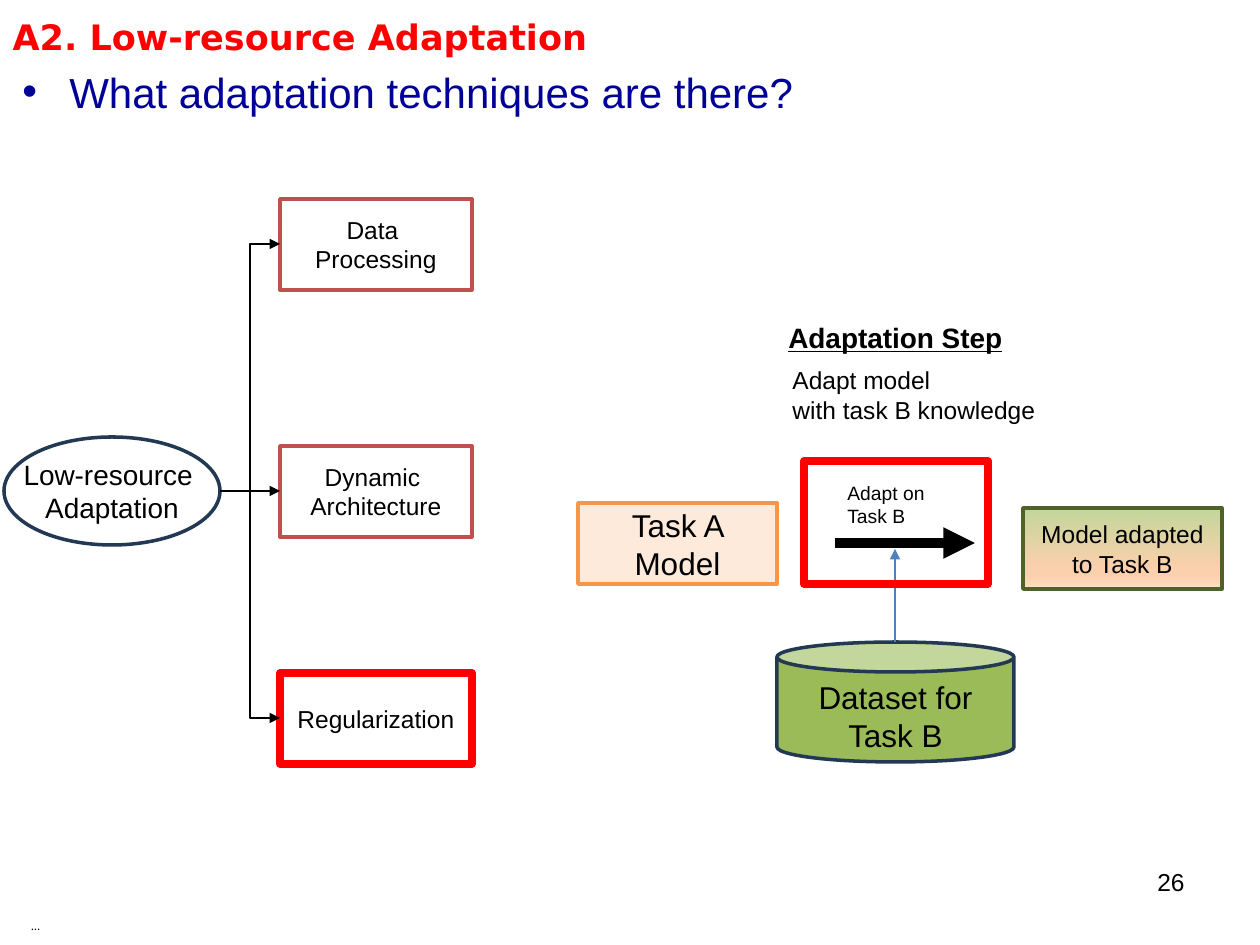
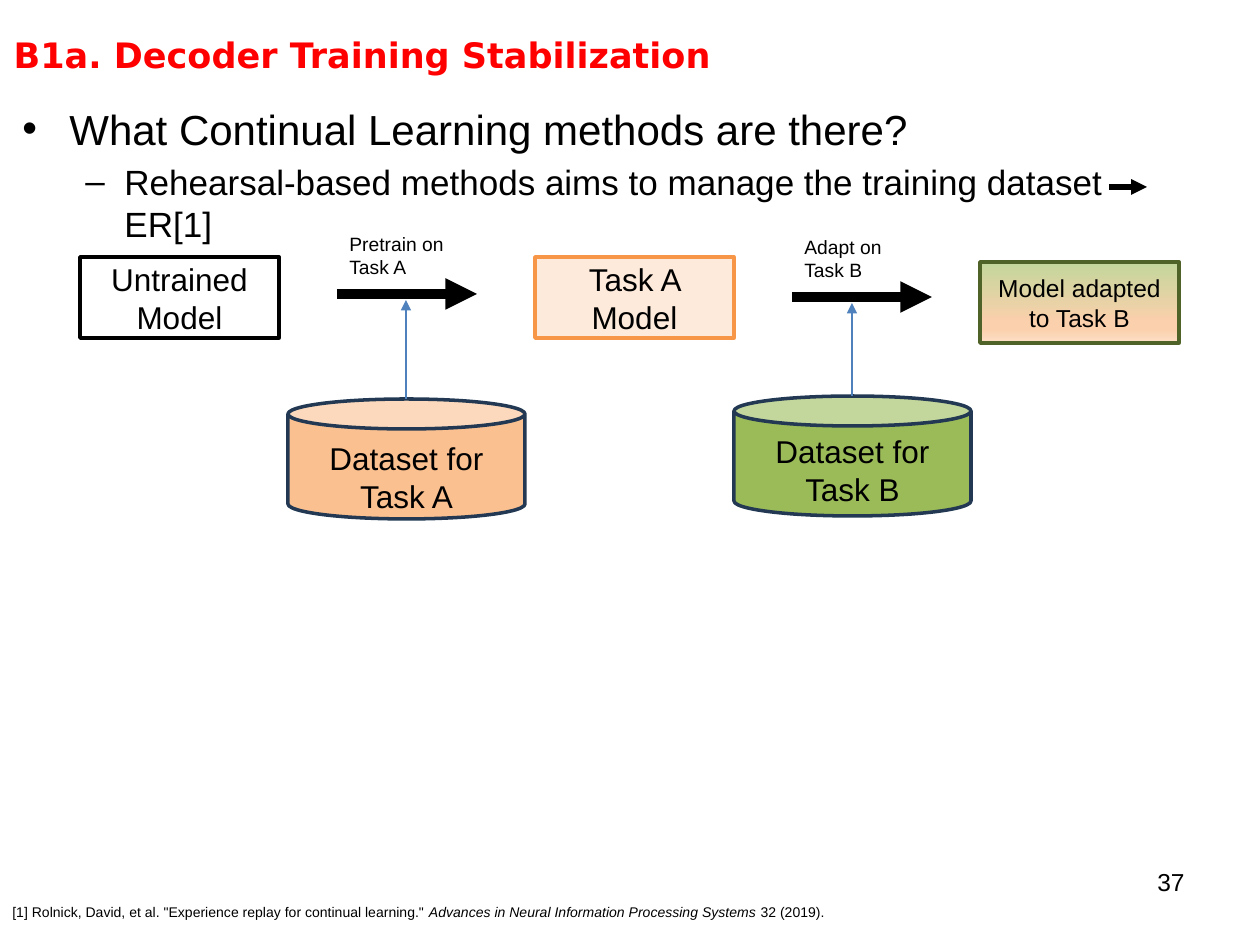
import pptx
import pptx.dml.color
import pptx.enum.shapes
import pptx.enum.text
import pptx.oxml
import pptx.oxml.ns
import pptx.util

SCALE = 914400 / 126
FONT = "Arial"
HEX = {
    "black": "000000", "white": "FFFFFF", "red": "FF0000", "blue": "000099",
    "navy": "233953", "brick": "C0504D", "feed": "4F81BD",
    "peach": "FDEADA", "orange": "F79646", "sand": "FAC090",
    "green": "9BBB59", "moss": "4F6228",
}
BLEND = [(0, "C3D69B"), (74, "FBD0AC"), (83, "FBD0AC"), (100, "FDE0C7")]
SHAPE = pptx.enum.shapes.MSO_SHAPE
LINK = pptx.enum.shapes.MSO_CONNECTOR
ALIGN = pptx.enum.text.PP_ALIGN
ANCHOR = pptx.enum.text.MSO_ANCHOR
LEFT, MID, RIGHT = ALIGN.LEFT, ALIGN.CENTER, ALIGN.RIGHT


def px(*nums):
    """Turn px lengths into EMU."""
    return [pptx.util.Emu(round(num * SCALE)) for num in nums]


def tint(name):
    """Give the named colour."""
    return pptx.dml.color.RGBColor.from_string(HEX[name])


def node(xml):
    """Make a drawing element from its tag and content."""
    tag = xml.split()[0].strip("<>/")
    head = f"<{tag} {pptx.oxml.ns.nsdecls('a')}"
    return pptx.oxml.parse_xml(head + xml[len(tag) + 1:])


def style(frame, size, color="black", align=LEFT, font=FONT, bold=False):
    """Format every run of a text frame."""
    for para in frame.paragraphs:
        para.alignment = align
        for run in para.runs:
            run.font.size = pptx.util.Pt(size)
            run.font.name = font
            run.font.bold = bold
            run.font.color.rgb = tint(color)


def note(slide, box, text, size, wrap=False, **look):
    """Add a text box."""
    frame = slide.shapes.add_textbox(*px(*box)).text_frame
    frame.word_wrap = wrap
    frame.text = text
    style(frame, size, **look)
    return frame


def block(slide, box, line, width=2, fill=None, text="", size=14, kind=SHAPE.RECTANGLE):
    """Add an outlined shape with centred text; the blend fill has four stops."""
    shape = slide.shapes.add_shape(kind, *px(*box))
    shape.shadow.inherit = False
    if fill == "blend":
        stops = "".join(f'<a:gs pos="{pos * 1000}"><a:srgbClr val="{color}"/></a:gs>'
                        for pos, color in BLEND)
        grad = node(f'<a:gradFill rotWithShape="1"><a:gsLst>{stops}</a:gsLst>'
                    '<a:lin ang="5400000" scaled="0"/></a:gradFill>')
        shape._element.spPr.insert(2, grad)
    elif fill:
        shape.fill.solid()
        shape.fill.fore_color.rgb = tint(fill)
    else:
        shape.fill.background()
    shape.line.color.rgb = tint(line)
    shape.line.width = pptx.util.Pt(width)
    if text:
        frame = shape.text_frame
        frame.word_wrap = True
        frame.vertical_anchor = ANCHOR.MIDDLE
        frame.text = text
        style(frame, size, align=MID)


def arrow(slide, ends, color="black", width=0.75, kind=LINK.STRAIGHT):
    """Add a line that ends in an arrowhead."""
    link = slide.shapes.add_connector(kind, *px(*ends))
    link.line.color.rgb = tint(color)
    link.line.width = pptx.util.Pt(width)
    link.line._get_or_add_ln().append(node('<a:tailEnd type="triangle"/>'))
    link._element.spPr.append(node("<a:effectLst/>"))


def start(deck, text, box, page):
    """Add a slide with its title and page number."""
    slide = deck.slides.add_slide(deck.slide_layouts[5])
    title = slide.shapes.title
    title.left, title.top, title.width, title.height = px(*box)
    frame = title.text_frame
    frame.text = text
    frame.word_wrap = True
    frame.auto_size = pptx.enum.text.MSO_AUTO_SIZE.NONE
    frame.vertical_anchor = ANCHOR.MIDDLE
    style(frame, 20, "red", font="DejaVu Sans", bold=True)
    note(slide, (903, 861, 294, 66), page, 14, wrap=True, align=RIGHT)
    return slide


def points(slide, box, items, color):
    """Add bulleted lines, given as level and text."""
    frame = note(slide, box, "\n".join(text for _, text in items), 24, wrap=True)
    looks = [(24, 47, 47, "•"), (20, 102, 39, "–")]
    for rank, (para, (level, _)) in enumerate(zip(frame.paragraphs, items)):
        size, left, hang, mark = looks[level]
        props = para._p.get_or_add_pPr()
        props.set("marL", str(px(left)[0]))
        props.set("indent", str(px(-hang)[0]))
        props.append(node(f'<a:buFont typeface="{FONT}"/>'))
        props.append(node(f'<a:buChar char="{mark}"/>'))
        para.level = level
        if rank:
            para.space_before = pptx.util.Pt(size / 5)
        for run in para.runs:
            run.font.size = pptx.util.Pt(size)
            run.font.color.rgb = tint(color)


def stage(slide, x, y, verb, task, fill, shift, drop):
    """Draw a training arrow from x, y with the dataset that feeds it."""
    left, top = x + shift[0], y + shift[1]
    wide, high = 237, 120
    mid = left + wide // 2
    block(slide, (left, top, wide, high), "navy", fill=fill, kind=SHAPE.CAN)
    note(slide, (left + 28, top + drop, 181, 89), f"Dataset for\n{task}", 18, align=MID)
    arrow(slide, (mid, top, mid, y + 6), "feed")
    arrow(slide, (x, y, x + 140, y), width=6)
    note(slide, (x, y - 68, 140, 59), f"{verb} on\n{task}", 11, wrap=True)


def adapt(slide, x, y):
    """Draw the step from the task A model to the adapted one."""
    block(slide, (x, y, 199, 81), "orange", fill="peach", text="Task A Model", size=18)
    stage(slide, x + 257, y + 40, "Adapt", "Task B", "green", (-58, 99), 30)
    block(slide, (x + 445, y + 5, 199, 81), "moss", fill="blend",
          text="Model adapted to Task B")


def tree(slide, x, y):
    """Draw the techniques that branch from the root at x, y."""
    wide, high = 216, 108
    mid = y + high // 2
    block(slide, (x, y, wide, high), "navy", kind=SHAPE.OVAL)
    note(slide, (x + 6, y + 14, 204, 81), "Low-resource \nAdaptation", 16, align=MID)
    leaves = [(-247, "Data \nProcessing", "brick", 2),
              (0, "Dynamic \nArchitecture", "brick", 2),
              (227, "Regularization", "red", 4.5)]
    for step, text, line, width in leaves:
        row = mid + step
        block(slide, (x + 276, row - 45, 192, 91), line, width, "white", text)
        arrow(slide, (x + wide, mid, x + 276, row), kind=LINK.ELBOW)


def survey(deck):
    """Build the slide on adaptation techniques."""
    slide = start(deck, "A2. Low-resource Adaptation", (0, -21, 1134, 115), "26")
    points(slide, (10, 60, 1232, 58), [(0, "What adaptation techniques are there?")], "blue")
    tree(slide, 4, 437)
    adapt(slide, 578, 503)
    block(slide, (804, 461, 184, 123), "red", 4.5)
    head = note(slide, (776, 314, 242, 47), "Adaptation Step", 16, bold=True)
    head.paragraphs[0].runs[0].font.underline = True
    note(slide, (780, 359, 270, 72), "Adapt model\nwith task B knowledge", 14)
    note(slide, (19, 912, 1157, 28), "…", 7, wrap=True, font="Calibri")


def replay(deck):
    """Build the slide on rehearsal methods."""
    slide = start(deck, "B1a. Decoder Training Stabilization", (1, -3, 1259, 115), "37")
    points(slide, (10, 97, 1242, 651), [
        (0, "What Continual Learning methods are there?"),
        (1, "Rehearsal-based methods aims to manage the training dataset\vER[1]"),
    ], "black")
    arrow(slide, (1109, 187, 1147, 187), width=3)
    block(slide, (80, 257, 199, 81), "black", fill="white", text="Untrained Model", size=18)
    stage(slide, 337, 294, "Pretrain", "Task A", "sand", (-49, 105), 34)
    adapt(slide, 535, 257)
    cite = note(slide, (0, 897, 843, 40),
                '[1] Rolnick, David, et al. "Experience replay for continual learning." ', 8)
    para = cite.paragraphs[0]
    para.add_run().text = "Advances in Neural Information Processing Systems"
    para.add_run().text = " 32 (2019)."
    style(cite, 8)
    para.runs[1].font.italic = True


def main():
    """Build and save the deck."""
    deck = pptx.Presentation()
    deck.slide_width, deck.slide_height = px(1260, 945)
    survey(deck)
    replay(deck)
    deck.save("out.pptx")


if __name__ == "__main__":
    main()
